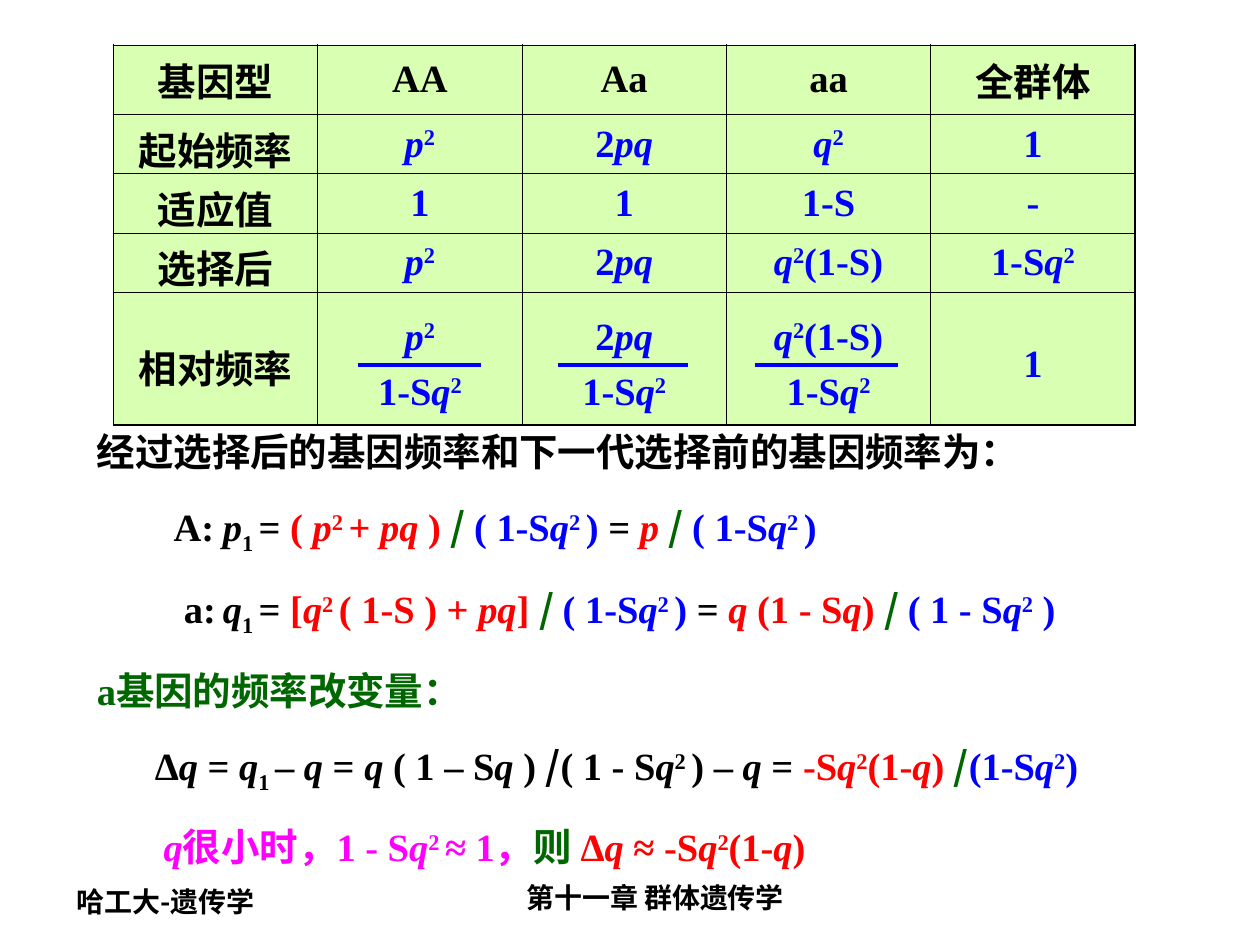
from itertools import groupby

from lxml import etree
from pptx import Presentation
from pptx.dml.color import RGBColor
from pptx.enum.shapes import MSO_CONNECTOR
from pptx.enum.text import MSO_ANCHOR, MSO_AUTO_SIZE, PP_ALIGN
from pptx.oxml.ns import qn
from pptx.util import Inches, Pt

BLACK = RGBColor(0x00, 0x00, 0x00)
BLUE = RGBColor(0x00, 0x00, 0xFF)
RED = RGBColor(0xFF, 0x00, 0x00)
GREEN = RGBColor(0x00, 0x66, 0x00)
PINK = RGBColor(0xFF, 0x00, 0xFF)
LIME = RGBColor(0xD9, 0xFF, 0xB3)

SERIF = "Times New Roman"
SANS = "Noto Sans CJK SC"
ARIAL = "Arial"
LEFT = PP_ALIGN.LEFT
CENTER = PP_ALIGN.CENTER
MIDDLE = MSO_ANCHOR.MIDDLE
GROW = MSO_AUTO_SIZE.SHAPE_TO_FIT_TEXT
STRAIGHT = MSO_CONNECTOR.STRAIGHT

ROWS = [
    ["基因型", "AA", "Aa", "aa", "全群体"],
    ["起始频率", "p^2", "2pq", "q^2", "1"],
    ["适应值", "1", "1", "1-S", "-"],
    ["选择后", "p^2", "2pq", "q^2^(1-S)", "1-Sq^2"],
    ["相对频率", "p^2\n1-Sq^2", "2pq\n1-Sq^2", "q^2^(1-S)\n1-Sq^2", "1"],
]
HEIGHTS = [0.55, 0.47, 0.47, 0.47, 0.98]
BARS = [(2.84, 3.82), (4.43, 5.46), (5.99, 7.13)]

SLASH = ("/ ", GREEN)
MEAN = "( 1-Sq^2 ^)"
LINES = [
    [("经过选择后的基因频率和下一代选择前的基因频率为：", BLACK)],
    [("A:\tp_1 _= ", BLACK), ("( p^2 ^+ pq ) ", RED), SLASH, (MEAN + " ", BLUE),
     ("= ", BLACK), ("p ", RED), SLASH, (MEAN, BLUE)],
    [("a:\tq_1 _= ", BLACK), ("[q^2 ^( 1-S ) + pq] ", RED), SLASH, (MEAN, BLUE),
     (" = ", BLACK), ("q (1 - Sq) ", RED), SLASH, ("( 1 - Sq^2^ )", BLUE)],
    [("a基因的频率改变量：", GREEN)],
    [("Δq = q_1 _– q = q ( 1 – Sq ) ", BLACK), ("/", BLACK),
     ("( 1 - Sq^2 ^) – q = ", BLACK), ("-Sq^2^(1-q) ", RED), ("/", GREEN),
     ("(1-Sq^2^)", BLUE)],
    [("q很小时，1 - Sq^2 ^≈ 1，", PINK), ("则 ", GREEN), ("Δq ≈ -Sq^2^(1-q)", RED)],
]
INDENTS = [0, 0.61, 0.69, 0, 0.46, 0.53]


def marks(text):
    """Yield (letter, italic, baseline); ^ and _ switch raised and lowered text."""
    base = 0
    for char in text:
        if char in "^_":
            base = 0 if base else {"^": 30000, "_": -25000}[char]
        else:
            yield char, char in "pq", base


def write(frame, lines, size=22, font=SERIF, align=LEFT, space=None,
          before=0, indents=None, tab=None):
    """Fill a text frame with lines, each a list of (text, colour) parts."""
    frame.word_wrap = True
    for row, line in enumerate(lines):
        para = frame.add_paragraph() if row else frame.paragraphs[0]
        para.alignment = align
        para.line_spacing = space
        para.space_before = Pt(before if row else 0)
        props = para._p.get_or_add_pPr()
        if indents:
            props.set("marL", "0")
            props.set("indent", str(Inches(indents[row])))
        if tab:
            stops = etree.SubElement(props, qn("a:tabLst"))
            etree.SubElement(stops, qn("a:tab"), pos=str(Inches(tab)), algn="l")
        for text, color in line:
            face = SANS if text.startswith("/") else font
            for (slant, base), group in groupby(marks(text), lambda mark: mark[1:]):
                run = para.add_run()
                run.text = "".join(mark[0] for mark in group)
                run.font.size = Pt(size)
                run.font.bold = True
                run.font.italic = slant
                run.font.color.rgb = color
                run.font.name = face
                style = run._r.get_or_add_rPr()
                etree.SubElement(style, qn("a:ea"), typeface=SANS)
                if base:
                    style.set("baseline", str(base))


def border(cell, side, width):
    """Draw one black side of a cell."""
    line = etree.SubElement(cell._tc.get_or_add_tcPr(), qn("a:ln" + side),
                            w=str(Pt(width)))
    fill = etree.SubElement(line, qn("a:solidFill"))
    etree.SubElement(fill, qn("a:srgbClr"), val=str(BLACK))


def add_grid(slide, left, top, width, height):
    """Place the genotype table in the given box."""
    count = len(ROWS[0])
    table = slide.shapes.add_table(len(ROWS), count, Inches(left), Inches(top),
                                   Inches(width), Inches(height)).table
    table.first_row = table.horz_banding = False
    last = len(ROWS) - 1
    for row, texts in enumerate(ROWS):
        table.rows[row].height = Inches(HEIGHTS[row])
        for col, text in enumerate(texts):
            cell = table.cell(row, col)
            edges = {"L": col == 0, "R": col == count - 1,
                     "T": row == 0, "B": row == last}
            for side, outer in edges.items():
                border(cell, side, 1.08 if outer else 0.45)
            cell.fill.solid()
            cell.fill.fore_color.rgb = LIME
            cell.vertical_anchor = MIDDLE
            color = BLUE if row and col else BLACK
            write(cell.text_frame, [[(part, color)] for part in text.split("\n")],
                  align=CENTER, space=1.3 if row == last else None)


def add_bars(slide, top):
    """Draw the fraction bars at the given height."""
    for start, end in BARS:
        bar = slide.shapes.add_connector(STRAIGHT, Inches(start), Inches(top),
                                         Inches(end), Inches(top))
        bar.line.color.rgb = BLUE
        bar.line.width = Pt(2.25)
        etree.SubElement(bar._element.spPr, qn("a:effectLst"))


def add_text(slide, left, top, width, height, lines, **style):
    """Place a text box and return its frame."""
    frame = slide.shapes.add_textbox(Inches(left), Inches(top), Inches(width),
                                     Inches(height)).text_frame
    write(frame, lines, **style)
    return frame


def add_proof(slide, left, top, width, height):
    """Place the derivation in the given box."""
    frame = add_text(slide, left, top, width, height, LINES, space=1.1,
                     before=13.8, indents=INDENTS, tab=1.08)
    frame.auto_size = GROW


def add_foot(slide, top):
    """Place the course and chapter names along the foot."""
    add_text(slide, 0.51, top + 0.03, 2.33, 0.39, [[("哈工大-遗传学", BLACK)]],
             size=16, font=SANS)
    add_text(slide, 3.35, top, 3.7, 0.39, [[("第十一章 群体遗传学", BLACK)]],
             size=16, font=ARIAL, align=CENTER)


def main():
    """Build and save the slide."""
    deck = Presentation()
    deck.slide_width = Inches(10)
    deck.slide_height = Inches(7.5)
    slide = deck.slides.add_slide(deck.slide_layouts[6])
    add_foot(slide, 6.94)
    add_proof(slide, 0.67, 3.31, 8.82, 3.64)
    add_grid(slide, 0.9, 0.36, 8.11, sum(HEIGHTS))
    add_bars(slide, 2.9)
    deck.save("out.pptx")


if __name__ == "__main__":
    main()
